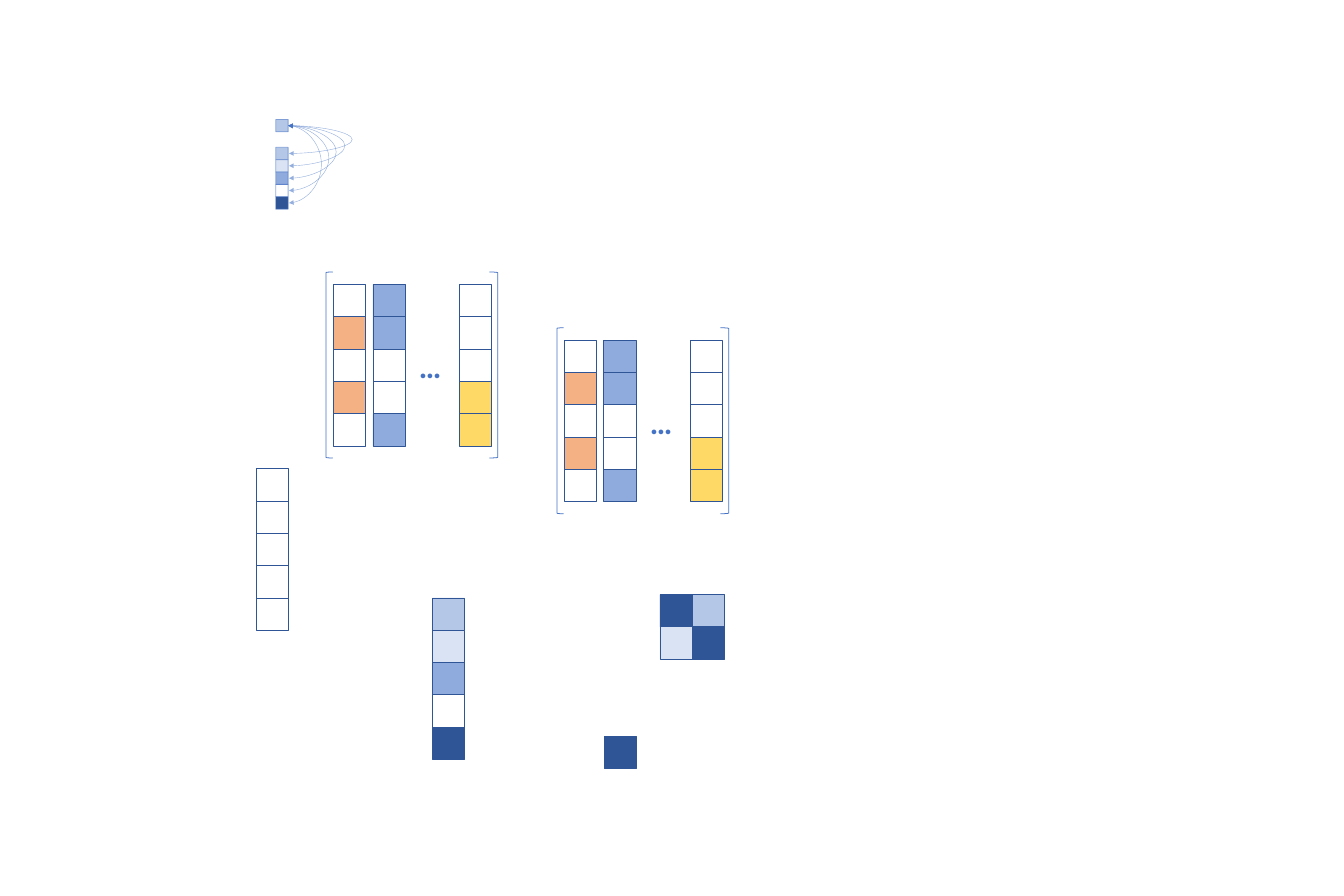
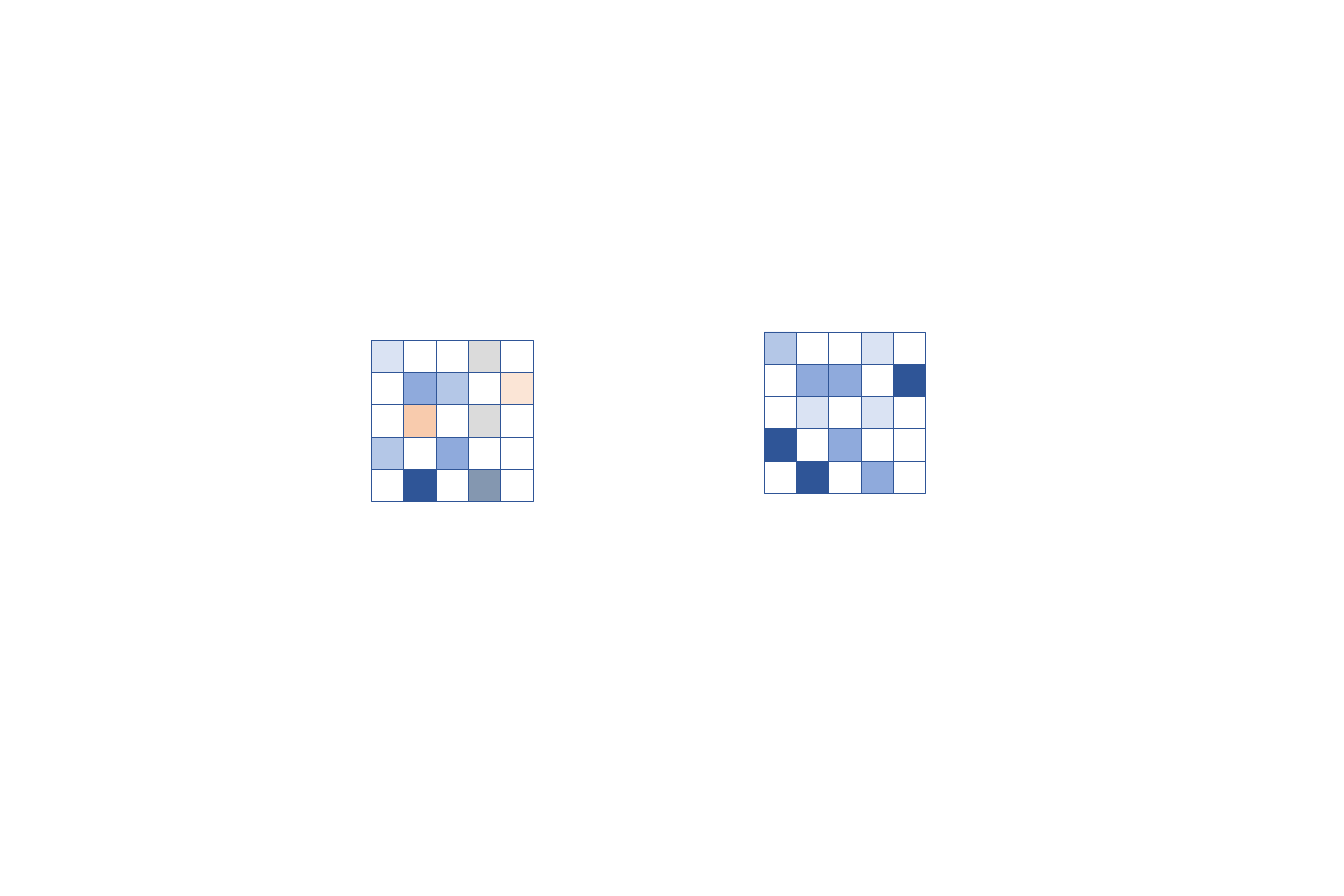
from pptx import Presentation
from pptx.dml.color import RGBColor
from pptx.enum.shapes import MSO_CONNECTOR, MSO_SHAPE
from pptx.enum.text import MSO_ANCHOR, PP_ALIGN
from pptx.oxml.ns import qn
from pptx.util import Pt
from lxml import etree

RECTANGLE = MSO_SHAPE.RECTANGLE
LEFT_BRACKET = MSO_SHAPE.LEFT_BRACKET
RIGHT_BRACKET = MSO_SHAPE.RIGHT_BRACKET
CURVE = MSO_CONNECTOR.CURVE
CENTER = PP_ALIGN.CENTER
MIDDLE = MSO_ANCHOR.MIDDLE

NAVY = RGBColor(0x2F, 0x55, 0x97)
BLUE = RGBColor(0x44, 0x72, 0xC4)
WHITE = RGBColor(0xFF, 0xFF, 0xFF)
FILLS = {
    "N": NAVY,
    "M": RGBColor(0x8F, 0xAA, 0xDC),
    "L": RGBColor(0xB4, 0xC7, 0xE7),
    "P": RGBColor(0xDA, 0xE3, 0xF3),
    "O": RGBColor(0xF4, 0xB1, 0x83),
    "A": RGBColor(0xF8, 0xCB, 0xAD),
    "C": RGBColor(0xFB, 0xE5, 0xD6),
    "Y": RGBColor(0xFF, 0xD9, 0x66),
    "G": RGBColor(0xDB, 0xDB, 0xDB),
    "S": RGBColor(0x84, 0x97, 0xB0),
}
CELL = 40.86
SMALL_CELL = 15.66


def draw_grid(shapes, left, top, rows, size=CELL, line_color=NAVY):
    cells = []
    for row_index, row in enumerate(rows):
        for column_index, key in enumerate(row):
            cell = shapes.add_shape(
                RECTANGLE, Pt(left + column_index * size),
                Pt(top + row_index * size), Pt(size), Pt(size))
            cell.shadow.inherit = False
            if key in FILLS:
                cell.fill.solid()
                cell.fill.fore_color.rgb = FILLS[key]
            else:
                cell.fill.background()
            cell.line.color.rgb = line_color
            cell.line.width = Pt(1)
            cells.append(cell)
    return cells


def fade_line(shape):
    color = shape.line._get_or_add_ln().find(".//" + qn("a:srgbClr"))
    etree.SubElement(color, qn("a:alpha")).set("val", "56000")


deck = Presentation()
deck.slide_width = Pt(1700.79)
deck.slide_height = Pt(1133.86)
blank_layout = deck.slide_layouts[6]

page = deck.slides.add_slide(blank_layout)
for left, top, rows in [
    (324, 593.3, "-----"),
    (547.2, 756.7, "LPM-N"),
    (835.2, 752.4, ["NL", "PN"]),
]:
    draw_grid(page.shapes.add_group_shape().shapes, left, top, rows)
draw_grid(page.shapes, 764.6, 931.7, "N")

attention = page.shapes.add_group_shape().shapes
attention_left = 349
query_top = 151.2
keys_top = 186.4
query_cells = draw_grid(attention, attention_left, query_top, "L", SMALL_CELL, BLUE)
key_cells = draw_grid(attention, attention_left, keys_top, "LPM-N", SMALL_CELL, BLUE)
for cell in query_cells + key_cells:
    fade_line(cell)

link_x = attention_left + SMALL_CELL
link_width = 1
for index, bulge in enumerate([81.7, 72.3, 61.3, 51.9, 42.4]):
    link = attention.add_connector(
        CURVE, Pt(link_x), Pt(query_top + SMALL_CELL / 2),
        Pt(link_x + link_width), Pt(keys_top + (index + 0.5) * SMALL_CELL))
    link.line.color.rgb = BLUE
    link.line.width = Pt(0.5)
    fade_line(link)
    line = link.line._get_or_add_ln()
    for end in ("a:headEnd", "a:tailEnd"):
        etree.SubElement(line, qn(end)).set("type", "triangle")
    properties = link._element.spPr
    etree.SubElement(properties, qn("a:effectLst"))
    adjustments = properties.find(".//" + qn("a:avLst"))
    guide = etree.SubElement(adjustments, qn("a:gd"))
    guide.set("name", "adj1")
    guide.set("fmla", f"val {round(bulge / link_width * 100000)}")

for left, top in [(714.2, 430.6), (421.9, 360)]:
    matrix = page.shapes.add_group_shape().shapes
    for offset, column in [(0, "-O-O-"), (50, "MM--M"), (159, "---YY")]:
        draw_grid(matrix, left + offset, top, column)
    for kind, offset, width in [(LEFT_BRACKET, -9.4, 8.6), (RIGHT_BRACKET, 197.3, 10.8)]:
        bracket = matrix.add_shape(
            kind, Pt(left + offset), Pt(top - 15.8), Pt(width), Pt(235.4))
        bracket.shadow.inherit = False
        bracket.fill.background()
        bracket.line.color.rgb = BLUE
        bracket.line.width = Pt(1)
    box = matrix.add_shape(
        RECTANGLE, Pt(left + 99.4), Pt(top + 82.8), Pt(46), Pt(39.6))
    box.shadow.inherit = False
    box.fill.background()
    box.line.color.rgb = WHITE
    box.line.width = Pt(1)
    box.text_frame.text = "…"
    box.text_frame.vertical_anchor = MIDDLE
    para = box.text_frame.paragraphs[0]
    para.alignment = CENTER
    span = para.runs[0]
    span.font.name = "Calibri"
    span.font.size = Pt(40)
    span.font.bold = True
    span.font.color.rgb = BLUE

page = deck.slides.add_slide(blank_layout)
for left, top, rows in [
    (470.2, 430.6, ["P--G-", "-ML-C", "-A-G-", "L-M--", "-N-S-"]),
    (967, 420, ["L--P-", "-MM-N", "-P-P-", "N-M--", "-N-M-"]),
]:
    draw_grid(page.shapes.add_group_shape().shapes, left, top, rows)

deck.save("out.pptx")
